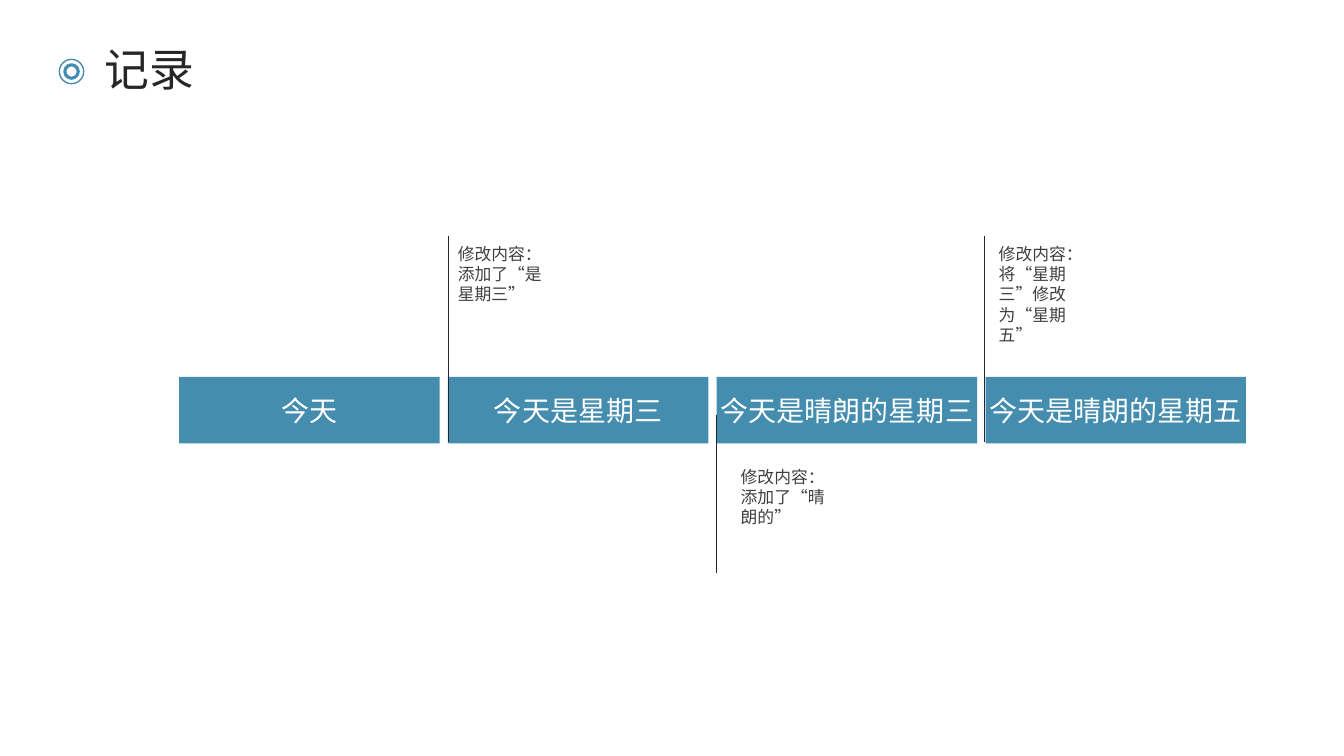
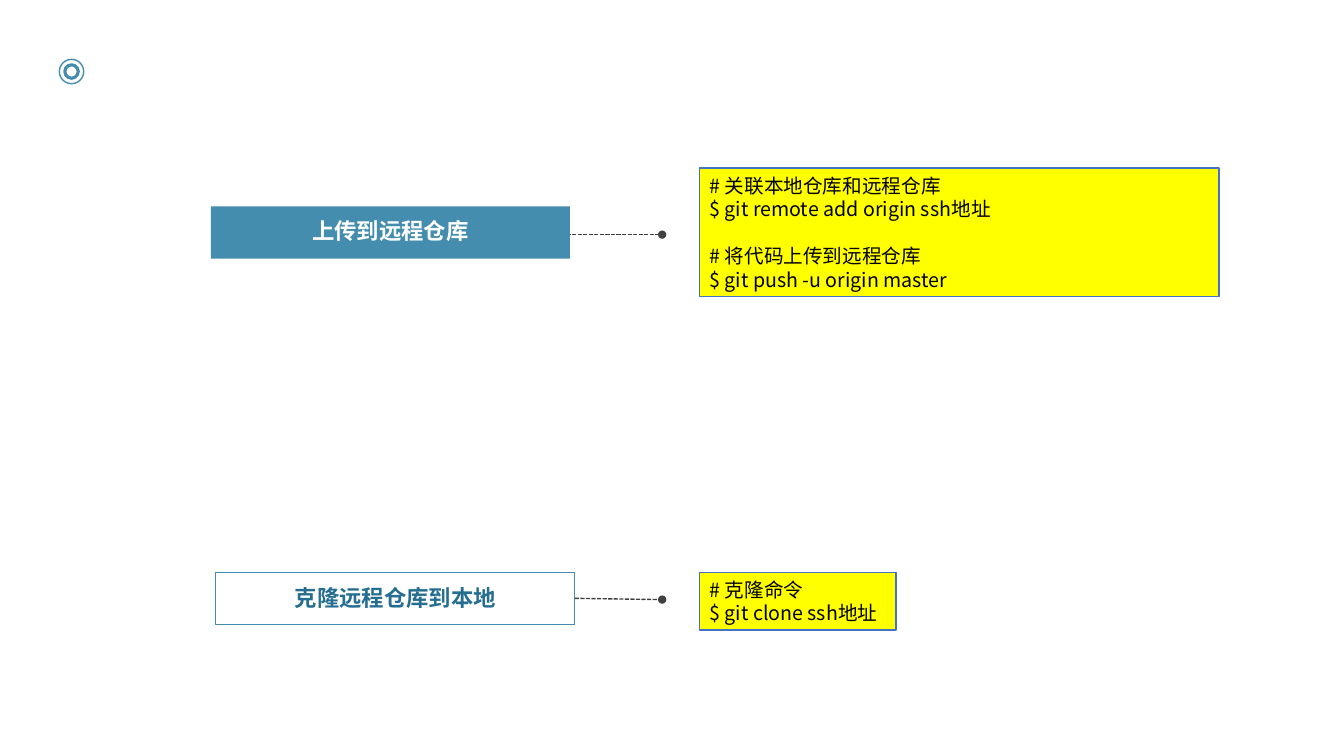
import pptx
import pptx.dml.color
import pptx.enum.dml
import pptx.enum.shapes
import pptx.enum.text
import pptx.oxml
import pptx.oxml.ns
import pptx.util

Pt = pptx.util.Pt
SHAPE = pptx.enum.shapes.MSO_SHAPE
ALIGN = pptx.enum.text.PP_ALIGN
ANCHOR = pptx.enum.text.MSO_ANCHOR
qn = pptx.oxml.ns.qn


def rgb(value):
    return pptx.dml.color.RGBColor.from_string(value)


def add_child(parent, tag, **attributes):
    child = pptx.oxml.parse_xml(f"<{tag} {pptx.oxml.ns.nsdecls('a')}/>")
    for name, value in attributes.items():
        child.set(name, value)
    parent.append(child)


class Deck:
    FONT = "Noto Sans CJK SC"
    TEAL, DEEP_TEAL, BLUE = "448DAE", "256E91", "4472C4"
    WHITE, BLACK, YELLOW = "FFFFFF", "000000", "FFFF00"
    INK, GREY, NAVY = "262626", "404040", "1F2835"

    def __init__(self):
        self.prs = pptx.Presentation()
        self.prs.slide_width, self.prs.slide_height = Pt(960), Pt(540)
        self.s = None

    def slide(self, title=None):
        """Start a slide with the ring marker and an optional title."""
        self.s = self.prs.slides.add_slide(self.prs.slide_layouts[6])
        for diameter, weight in ((17.4, 1), (9.6, 2.25)):
            corner = 51.1 - diameter / 2
            self.shape(corner, corner, diameter, diameter, self.WHITE,
                       self.TEAL, weight, SHAPE.OVAL)
        if title:
            self.text_box(67.7, 26.6, 240, 46, title, 32, self.INK)

    def shape(self, x, y, w, h, fill, line=None, weight=1, kind=SHAPE.RECTANGLE):
        sp = self.s.shapes.add_shape(kind, Pt(x), Pt(y), Pt(w), Pt(h))
        sp.shadow.inherit = False
        sp.fill.solid()
        sp.fill.fore_color.rgb = rgb(fill)
        if line:
            sp.line.color.rgb = rgb(line)
            sp.line.width = Pt(weight)
        else:
            sp.line.fill.background()
        return sp

    def put_text(self, sp, lines, size, color, bold=False, align=ALIGN.LEFT,
                 anchor=ANCHOR.MIDDLE, wrap=True):
        """Fill a shape with paragraphs and return them."""
        tf = sp.text_frame
        tf.word_wrap = wrap
        tf.vertical_anchor = anchor
        tf.text = "\n".join(lines)
        for p in tf.paragraphs:
            p.alignment = align
            p.font.size = Pt(size)
            p.font.bold = bold
            p.font.color.rgb = rgb(color)
            p.font.name = self.FONT
            add_child(p._p.pPr.find(qn("a:defRPr")), "a:ea", typeface=self.FONT)
        return tf.paragraphs

    def text_box(self, x, y, w, h, text, size, color):
        sp = self.s.shapes.add_textbox(Pt(x), Pt(y), Pt(w), Pt(h))
        self.put_text(sp, [text], size, color, anchor=ANCHOR.TOP)

    def line(self, x1, y1, x2, y2, color, weight):
        sp = self.s.shapes.add_connector(
            pptx.enum.shapes.MSO_CONNECTOR.STRAIGHT, Pt(x1), Pt(y1), Pt(x2), Pt(y2))
        sp.line.color.rgb = rgb(color)
        sp.line.width = Pt(weight)
        add_child(sp._element.spPr, "a:effectLst")
        return sp

    def dotted_link(self, x1, y1, x2, y2):
        """Dashed line that ends in a dot."""
        sp = self.line(x1, y1, x2, y2, self.GREY, 1)
        sp.line.dash_style = pptx.enum.dml.MSO_LINE.SQUARE_DOT
        add_child(sp._element.spPr.find(qn("a:ln")), "a:tailEnd", type="oval")

    def version(self, x, text):
        sp = self.shape(x, 269.3, 186, 47.5, self.TEAL)
        self.put_text(sp, [text], 20, self.WHITE, align=ALIGN.CENTER, wrap=False)

    def action(self, x, y, text, fill, color, line=None):
        sp = self.shape(x, y, 256.4, 37.4, fill, line, 0.75)
        sp.text_frame.margin_top = sp.text_frame.margin_bottom = Pt(7.2)
        p = self.put_text(sp, [text], 16, color, bold=True, align=ALIGN.CENTER)[0]
        p.line_spacing = 0.9
        p.space_before = Pt(10)

    def commands(self, y, w, h, lines, wrap=True):
        """Yellow box of comment and command pairs, set apart by a line."""
        sp = self.shape(499.7, y, w, h, self.YELLOW, self.BLUE)
        paragraphs = self.put_text(sp, lines, 14, self.BLACK, wrap=wrap)
        for p in paragraphs[2::2]:
            p.space_before = Pt(16.8)


def build_history(deck):
    deck.slide("记录")
    versions = ["今天", "今天是星期三", "今天是晴朗的星期三", "今天是晴朗的星期五"]
    for i, text in enumerate(versions):
        deck.version(128 + 192 * i, text)
    changes = [
        (320, 170.6, 80, "修改内容：添加了“是星期三”"),
        (522, 329.8, 78.5, "修改内容：添加了“晴朗的”"),
        (706.3, 170.6, 85.7, "修改内容：将“星期三”修改为“星期五”"),
    ]
    for x, y, w, text in changes:
        deck.text_box(x, y, w, 51, text, 12, deck.GREY)
    for x, top, bottom, color in ((320, 168.5, 316, deck.NAVY),
                                  (512, 296.6, 409.5, deck.INK),
                                  (703, 168.5, 316, deck.NAVY)):
        deck.line(x, top, x, bottom, color, 0.5)


def build_remote(deck):
    deck.slide()
    deck.dotted_link(396.7, 167.6, 473, 167.6)
    deck.action(150.6, 147.4, "上传到远程仓库", deck.TEAL, deck.WHITE)
    deck.action(154.2, 409, "克隆远程仓库到本地", deck.WHITE, deck.DEEP_TEAL, deck.TEAL)
    deck.dotted_link(410.6, 427.4, 473, 428.3)
    deck.commands(120, 371, 92, [
        "# 关联本地仓库和远程仓库", "$ git remote add origin ssh地址",
        "# 将代码上传到远程仓库", "$ git push -u origin master"])
    deck.commands(409, 140.4, 41, ["# 克隆命令", "$ git clone ssh地址"], wrap=False)


def main():
    deck = Deck()
    build_history(deck)
    build_remote(deck)
    deck.prs.save("out.pptx")


if __name__ == "__main__":
    main()
